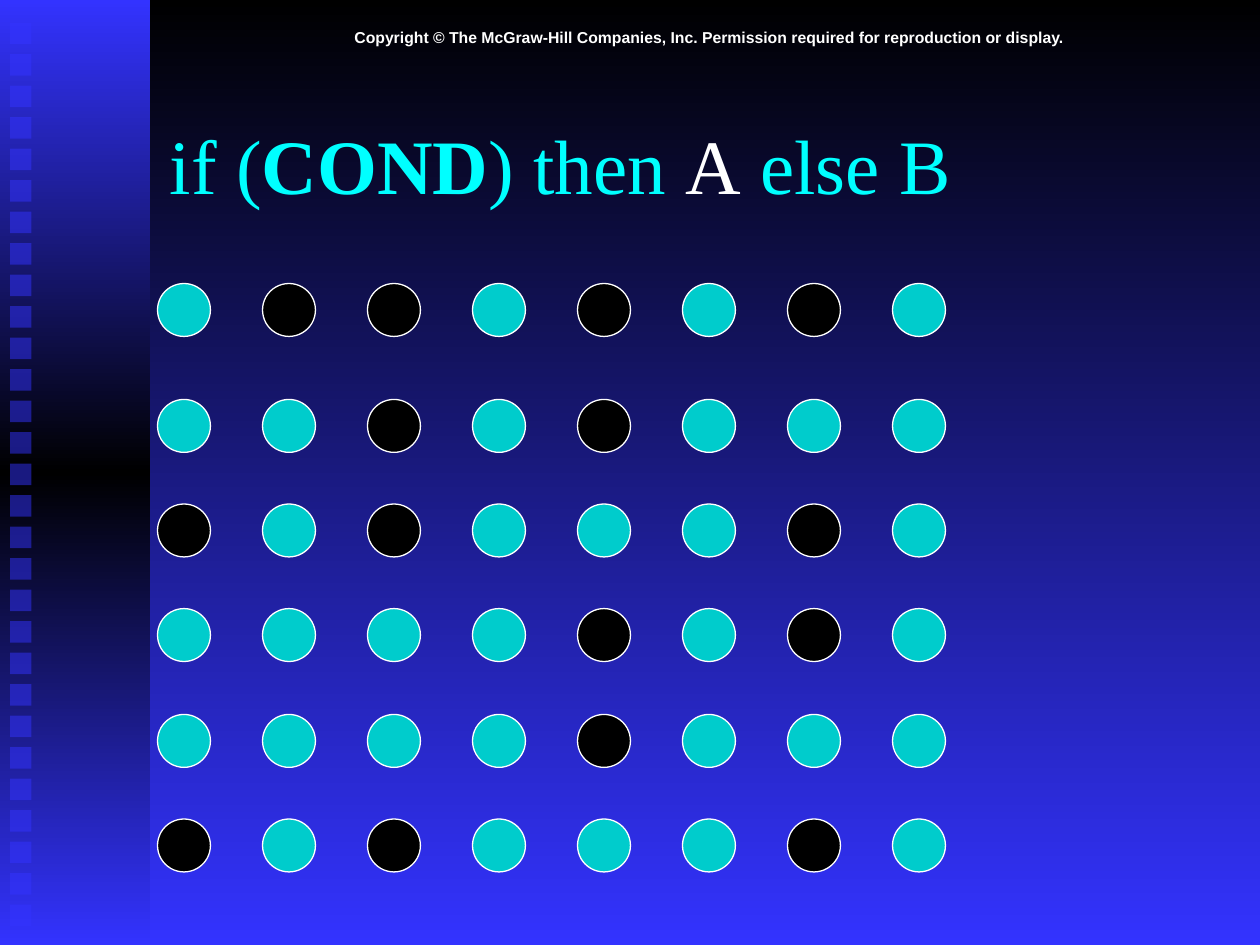
import copy

import pptx
import pptx.dml.color
import pptx.enum.shapes
import pptx.enum.text
import pptx.oxml
import pptx.oxml.ns
import pptx.util
from pptx.util import Inches

COLORS = {
    "black": "000000",
    "blue": "3333FF",
    "teal": "00CCCC",
    "cyan": "00FFFF",
    "white": "FFFFFF",
}
RGB = {name: pptx.dml.color.RGBColor.from_string(value) for name, value in COLORS.items()}
SHAPES = pptx.enum.shapes.MSO_SHAPE


def add_plain_shape(kind, left, top, width, height):
    shape = slide.shapes.add_shape(kind, Inches(left), Inches(top), Inches(width), Inches(height))
    shape.shadow.inherit = False
    shape.line.fill.background()
    return shape


def color_gradient(fill, names):
    fill.gradient_angle = 270
    for index, (stop, name) in enumerate(zip(fill.gradient_stops, names)):
        stop.position = index / (len(names) - 1)
        stop.color.rgb = RGB[name]


presentation = pptx.Presentation()
presentation.slide_width = Inches(10)
presentation.slide_height = Inches(7.5)
slide = presentation.slides.add_slide(presentation.slide_layouts[6])

background = slide.background.fill
background.gradient()
color_gradient(background, ["black", "blue"])

side_panel = add_plain_shape(SHAPES.RECTANGLE, 0, 0, 1.19, 7.5)
side_panel.fill.gradient()
stop_list = side_panel._element.find(".//" + pptx.oxml.ns.qn("a:gsLst"))
stop_list.append(copy.deepcopy(stop_list[0]))
color_gradient(side_panel.fill, ["blue", "black", "blue"])

for index in range(29):
    square = add_plain_shape(SHAPES.RECTANGLE, 0.08, 0.18 + index * 0.25, 0.17, 0.17)
    square.fill.solid()
    square.fill.fore_color.rgb = RGB["blue"]
    color_element = square._element.spPr.find(".//" + pptx.oxml.ns.qn("a:srgbClr"))
    alpha = pptx.oxml.parse_xml(f'<a:alpha {pptx.oxml.ns.nsdecls("a")} val="50000"/>')
    color_element.append(alpha)

copyright_box = slide.shapes.add_textbox(Inches(1.25), Inches(0.17), Inches(8.75), Inches(0.25))
frame = copyright_box.text_frame
frame.word_wrap = True
frame.vertical_anchor = pptx.enum.text.MSO_ANCHOR.MIDDLE
frame.margin_left = frame.margin_right = frame.margin_top = frame.margin_bottom = 0
paragraph = frame.paragraphs[0]
paragraph.text = "Copyright © The McGraw-Hill Companies, Inc. Permission required for reproduction or display."
paragraph.alignment = pptx.enum.text.PP_ALIGN.CENTER
paragraph.font.name = "Arial"
paragraph.font.size = pptx.util.Pt(9)
paragraph.font.bold = True
paragraph.font.color.rgb = RGB["white"]

title_box = slide.shapes.add_textbox(Inches(1.25), Inches(0.67), Inches(8.5), Inches(1.25))
frame = title_box.text_frame
frame.word_wrap = True
frame.vertical_anchor = pptx.enum.text.MSO_ANCHOR.MIDDLE
paragraph = frame.paragraphs[0]
paragraph.font.name = "Times New Roman"
paragraph.font.size = pptx.util.Pt(44)
for text, color, bold in [
    ("if (", "cyan", False),
    ("COND", "cyan", True),
    (") then ", "cyan", False),
    ("A", "white", False),
    (" else B", "cyan", False),
]:
    run = paragraph.add_run()
    run.text = text
    run.font.name = "Times New Roman"
    run.font.size = pptx.util.Pt(44)
    run.font.bold = bold
    run.font.color.rgb = RGB[color]

dot_rows = [
    (2.25, "10010101"),
    (3.17, "11010111"),
    (4, "01011101"),
    (4.83, "11110101"),
    (5.67, "11110111"),
    (6.5, "01011101"),
]
for top, states in dot_rows:
    for column, state in enumerate(states):
        dot = add_plain_shape(SHAPES.OVAL, 1.25 + column * 5 / 6, top, 0.42, 0.42)
        dot.fill.solid()
        dot.fill.fore_color.rgb = RGB["teal" if state == "1" else "black"]
        dot.line.color.rgb = RGB["white"]
        dot.line.width = pptx.util.Pt(0.75)

presentation.save("out.pptx")
